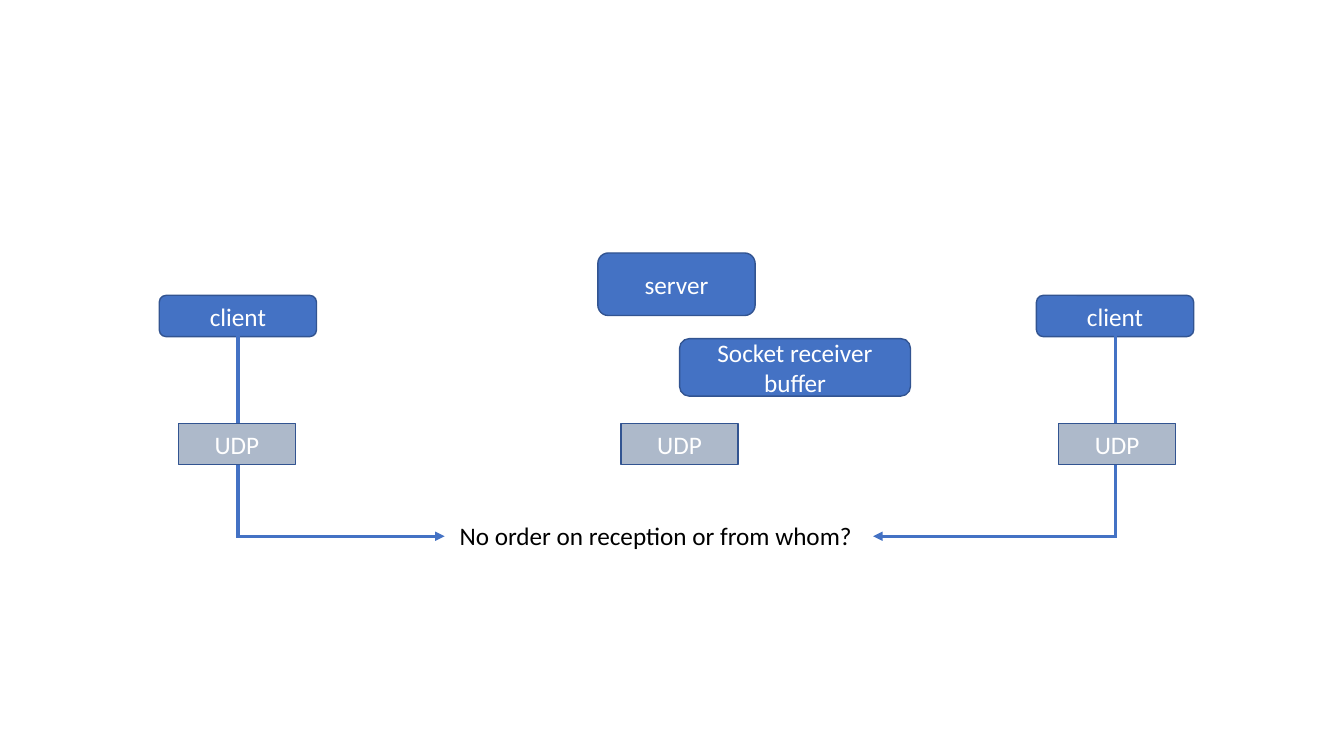
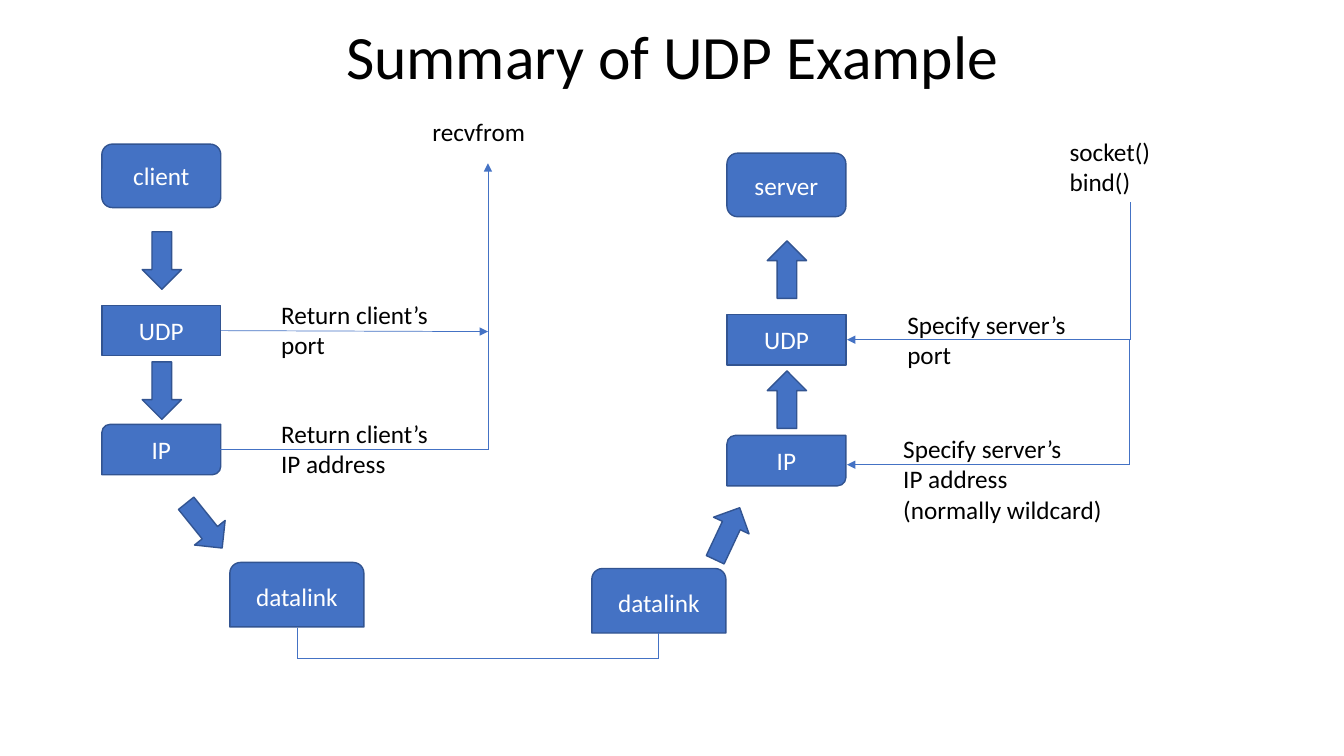
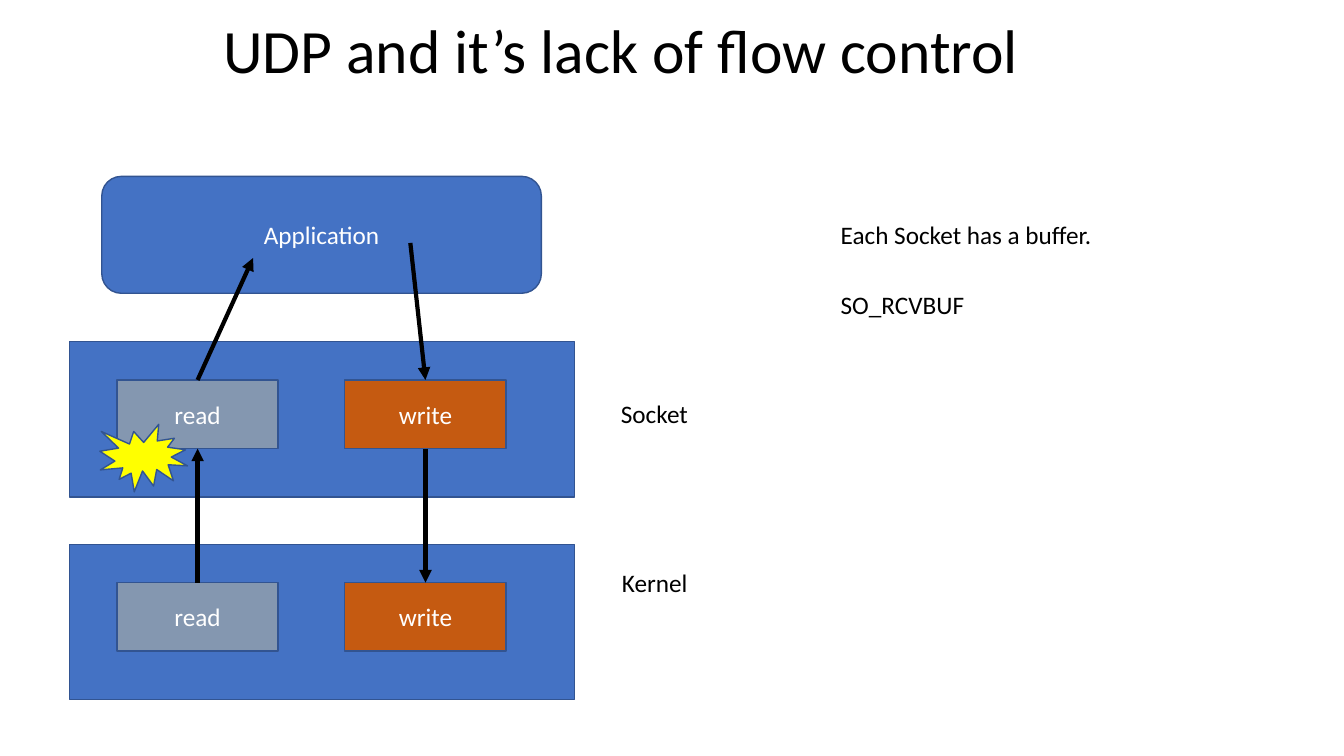
import pptx
import pptx.util
import pptx.dml.color
import pptx.enum.shapes
import pptx.enum.text
import pptx.oxml.ns
import lxml.etree

RGB = pptx.dml.color.RGBColor
MSO = pptx.enum.shapes.MSO_SHAPE
ALIGN = pptx.enum.text.PP_ALIGN
ANCHOR = pptx.enum.text.MSO_ANCHOR

BLUE = RGB(0x44, 0x72, 0xC4)
OUTLINE = RGB(0x32, 0x54, 0x91)
PALE = RGB(0xAD, 0xB9, 0xCA)
SLATE = RGB(0x84, 0x97, 0xB0)
RUST = RGB(0xC5, 0x5A, 0x11)
YELLOW = RGB(0xFF, 0xFF, 0x00)
WHITE = RGB(0xFF, 0xFF, 0xFF)
BLACK = RGB(0x00, 0x00, 0x00)

FONT = "Calibri"
EMU_PER_PX = 9144
TITLE_ONLY, BLANK = 5, 6


def px(n):
    return pptx.util.Emu(round(n * EMU_PER_PX))


def add_text(p, text, color, size=18):
    r = p.add_run()
    r.text = text
    r.font.name = FONT
    r.font.size = pptx.util.Pt(size)
    r.font.color.rgb = color


def add_title(s, text, x, w, h):
    sp = s.shapes.title
    sp.left, sp.top, sp.width, sp.height = px(x), px(0), px(w), px(h)
    tf = sp.text_frame
    tf.word_wrap = True
    tf.vertical_anchor = ANCHOR.MIDDLE
    p = tf.paragraphs[0]
    p.alignment = ALIGN.CENTER
    p.line_spacing = 0.9
    add_text(p, text, BLACK, 44)


def add_box(s, kind, x, y, w, h, text="", fill=BLUE, rotation=0):
    sp = s.shapes.add_shape(kind, px(x), px(y), px(w), px(h))
    sp.shadow.inherit = False
    sp.fill.solid()
    sp.fill.fore_color.rgb = fill
    sp.line.color.rgb = OUTLINE
    sp.line.width = pptx.util.Pt(1)
    sp.rotation = rotation
    if text:
        tf = sp.text_frame
        tf.word_wrap = True
        tf.vertical_anchor = ANCHOR.MIDDLE
        p = tf.paragraphs[0]
        p.alignment = ALIGN.CENTER
        add_text(p, text, WHITE)


def add_label(s, x, y, w, h, *lines):
    tf = s.shapes.add_textbox(px(x), px(y), px(w), px(h)).text_frame
    tf.word_wrap = True
    for i, line in enumerate(lines):
        p = tf.add_paragraph() if i else tf.paragraphs[0]
        add_text(p, line, BLACK)


def add_route(s, points, width, color=BLUE, arrow=True):
    qn = pptx.oxml.ns.qn
    for start, end in zip(points, points[1:]):
        c = s.shapes.add_connector(
            pptx.enum.shapes.MSO_CONNECTOR.STRAIGHT,
            px(start[0]), px(start[1]), px(end[0]), px(end[1]))
        c.line.color.rgb = color
        c.line.width = pptx.util.Pt(width)
        ln = c.line._get_or_add_ln()
        if len(points) > 2:
            ln.set("cap", "sq")
        if arrow and end == points[-1]:
            lxml.etree.SubElement(ln, qn("a:tailEnd")).set("type", "triangle")
        lxml.etree.SubElement(c._element.spPr, qn("a:effectLst"))


def add_stack(s, x, y, host, ip_y, rotation):
    add_box(s, MSO.ROUNDED_RECTANGLE, x, y, 118, 63, host)
    add_box(s, MSO.RECTANGLE, x, y + 160, 118, 50, "UDP")
    add_box(s, MSO.ROUND_2_DIAG_RECTANGLE, x, ip_y, 118, 50, "IP")
    for dy in (87, 216):
        add_block_arrow(s, x + 40, y + dy, rotation)


def add_block_arrow(s, x, y, rotation):
    add_box(s, MSO.DOWN_ARROW, x, y, 39, 57, rotation=rotation)


def add_datalink(s, x, y):
    add_box(s, MSO.ROUND_2_SAME_RECTANGLE, x, y, 133, 64, "datalink")


def build_reception(prs):
    s = prs.slides.add_slide(prs.slide_layouts[BLANK])
    add_box(s, MSO.ROUNDED_RECTANGLE, 593, 251, 156, 62, "server")
    add_box(s, MSO.ROUNDED_RECTANGLE, 674, 336, 229, 57, "Socket receiver buffer")
    for center, tip in ((236, 441), (1106, 866)):
        add_box(s, MSO.ROUNDED_RECTANGLE, center - 78, 293, 156, 41, "client")
        add_route(s, [(center, 334), (center, 532), (tip, 532)], 2.25)
    for x in (177, 616, 1050):
        add_box(s, MSO.RECTANGLE, x, 420, 116, 41, "UDP", PALE)
    add_label(s, 446, 511, 420, 40, "No order on reception or from whom?")


def build_summary(prs):
    s = prs.slides.add_slide(prs.slide_layouts[TITLE_ONLY])
    add_title(s, "Summary of UDP Example", 92, 1150, 119)
    add_stack(s, 101, 143, "client", 421, 0)
    add_block_arrow(s, 183, 493, 321.2)
    add_datalink(s, 228, 558)
    add_stack(s, 721, 152, "server", 432, 180)
    add_block_arrow(s, 702, 501, 205.2)
    add_datalink(s, 587, 564)
    add_route(s, [(295, 623), (295, 653), (653, 653), (653, 628)], 0.5, arrow=False)
    add_route(s, [(219, 446), (484, 446), (484, 162)], 0.5)
    add_route(s, [(219, 328), (484, 329)], 0.5)
    add_label(s, 419, 111, 127, 40, "recvfrom")
    add_label(s, 269, 292, 185, 71, "Return client’s port")
    add_label(s, 269, 410, 185, 71, "Return client’s IP address")
    add_label(s, 1051, 130, 140, 71, "socket()", "bind()")
    add_label(s, 890, 302, 192, 71, "Specify server’s", "port")
    add_label(s, 886, 425, 221, 101,
              "Specify server’s", "IP address", "(normally wildcard)")
    add_route(s, [(1121, 201), (1121, 337), (840, 337)], 0.5)
    add_route(s, [(1120, 337), (1120, 461), (840, 461)], 0.5)


def build_flow_control(prs):
    s = prs.slides.add_slide(prs.slide_layouts[TITLE_ONLY])
    add_title(s, "UDP and it’s lack of flow control", 129, 974, 107)
    add_box(s, MSO.ROUNDED_RECTANGLE, 101, 175, 436, 116, "Application")
    for y in (339, 540):
        add_box(s, MSO.RECTANGLE, 69, y, 501, 154)
        add_box(s, MSO.RECTANGLE, 116, y + 38, 160, 68, "read", SLATE)
        add_box(s, MSO.RECTANGLE, 342, y + 38, 160, 68, "write", RUST)
    for points in ([(196, 578), (196, 445)], [(196, 377), (251, 256)],
                   [(407, 241), (422, 377)], [(422, 445), (422, 578)]):
        add_route(s, points, 3, BLACK)
    add_label(s, 607, 558, 109, 40, "Kernel")
    add_label(s, 606, 390, 109, 40, "Socket")
    add_box(s, MSO.EXPLOSION1, 99, 421, 87, 67, fill=YELLOW)
    add_label(s, 824, 213, 327, 40, "Each Socket has a buffer.")
    add_label(s, 824, 282, 327, 40, "SO_RCVBUF")


def main():
    prs = pptx.Presentation()
    prs.slide_width, prs.slide_height = px(1333), px(750)
    build_reception(prs)
    build_summary(prs)
    build_flow_control(prs)
    prs.save("out.pptx")


if __name__ == "__main__":
    main()
